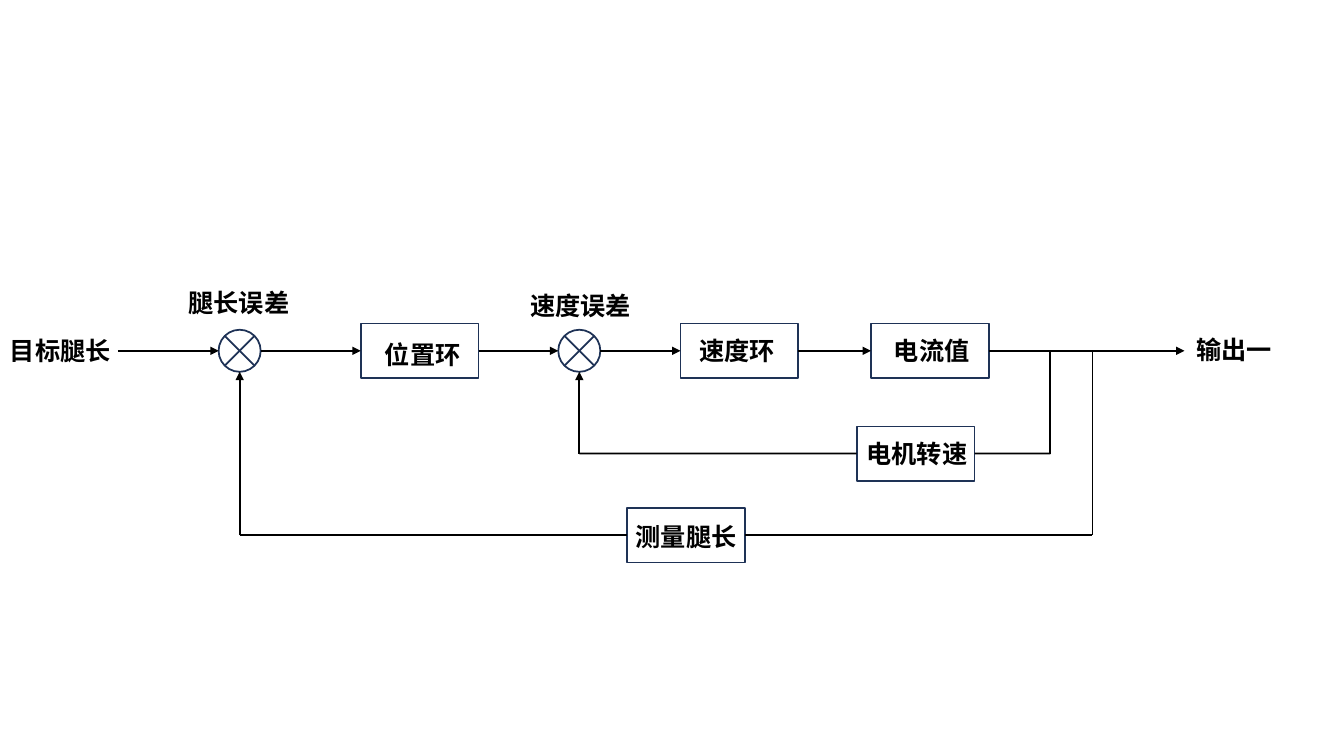
import pptx
import pptx.util
from pptx.dml.color import RGBColor
from pptx.enum.shapes import MSO_CONNECTOR, MSO_SHAPE
from pptx.enum.text import MSO_AUTO_SIZE
from pptx.oxml.ns import qn
from lxml import etree

Cm, Pt = pptx.util.Cm, pptx.util.Pt

NAVY = RGBColor(0x1E, 0x32, 0x56)
BLACK = RGBColor(0, 0, 0)
FONT = "Noto Sans CJK SC"
LINE_WIDTH = Pt(1.25)

# Lengths in centimetres
AXIS_Y = 8.84
BLOCK_W, BLOCK_H = 2.97, 1.37
JUNCTION_D = 1.06
CHAR_W, LABEL_PAD, LABEL_H = 0.64, 0.52, 1.02


def add_label(s, x, y, text):
    """Bold text box sized to its characters."""
    width = len(text) * CHAR_W + LABEL_PAD
    box = s.shapes.add_textbox(Cm(x), Cm(y), Cm(width), Cm(LABEL_H))
    tf = box.text_frame
    tf.text = text
    tf.word_wrap = False
    tf.auto_size = MSO_AUTO_SIZE.SHAPE_TO_FIT_TEXT
    font = tf.paragraphs[0].runs[0].font
    font.name, font.size, font.bold = FONT, Pt(18), True
    font.color.rgb = BLACK
    etree.SubElement(font._element, qn("a:ea"), typeface=FONT)


def add_outline(s, kind, x, y, w, h):
    sp = s.shapes.add_shape(kind, Cm(x), Cm(y), Cm(w), Cm(h))
    sp.shadow.inherit = False
    sp.fill.background()
    sp.line.color.rgb = NAVY
    sp.line.width = LINE_WIDTH
    return sp


def add_block(s, x, mid_y, text, dx, dy):
    """Process box with its label offset from the top left corner."""
    top = mid_y - BLOCK_H / 2
    sp = add_outline(s, MSO_SHAPE.FLOWCHART_PROCESS, x, top, BLOCK_W, BLOCK_H)
    add_label(s, x + dx, top + dy, text)
    return sp


def add_junction(s, x, text, label_x, label_y):
    """Summing junction on the main axis with its label above."""
    add_outline(s, MSO_SHAPE.FLOWCHART_SUMMING_JUNCTION, x,
                AXIS_Y - JUNCTION_D / 2, JUNCTION_D, JUNCTION_D)
    add_label(s, label_x, label_y, text)


def add_line(s, start, end, arrow=True, source=None, target=None):
    """Line that leaves a block's right side or enters a block's left side."""
    line = s.shapes.add_connector(MSO_CONNECTOR.STRAIGHT, *map(Cm, start + end))
    if source is not None:
        line.begin_connect(source, 3)
    if target is not None:
        line.end_connect(target, 1)
    line.line.color.rgb = BLACK
    line.line.width = LINE_WIDTH
    if arrow:
        etree.SubElement(line.line._get_or_add_ln(), qn("a:tailEnd"), type="triangle")
    etree.SubElement(line._element.spPr, qn("a:effectLst"))


def add_forward_path(s, junctions, block_xs, output_x):
    """Main axis from the target to the output."""
    leg_x, speed_x = junctions
    add_label(s, 0, 8.33, "目标腿长")
    add_junction(s, leg_x, "腿长误差", 4.5, 7.11)
    add_junction(s, speed_x, "速度误差", 13.11, 7.19)
    position_x, velocity_x, current_x = block_xs
    position = add_block(s, position_x, AXIS_Y, "位置环", 0.36, 0.26)
    velocity = add_block(s, velocity_x, AXIS_Y, "速度环", 0.22, 0.18)
    current = add_block(s, current_x, AXIS_Y, "电流值", 0.33, 0.18)
    add_label(s, output_x + 0.05, 8.31, "输出一")

    links = [
        (2.97, leg_x, None, None),
        (leg_x + JUNCTION_D, position_x, None, position),
        (position_x + BLOCK_W, speed_x, position, None),
        (speed_x + JUNCTION_D, velocity_x, None, velocity),
        (velocity_x + BLOCK_W, current_x, velocity, current),
        (current_x + BLOCK_W, output_x, current, None),
    ]
    for x1, x2, source, target in links:
        add_line(s, (x1, AXIS_Y), (x2, AXIS_Y), source=source, target=target)


def add_feedback(s, tap_x, junction_x, block_x, y, text, dx, dy):
    """Loop from the output line through a block back to a junction."""
    block = add_block(s, block_x, y, text, dx, dy)
    return_x = junction_x + JUNCTION_D / 2
    add_line(s, (tap_x, AXIS_Y), (tap_x, y), arrow=False)
    add_line(s, (block_x + BLOCK_W, y), (tap_x, y), arrow=False, source=block)
    add_line(s, (return_x, y), (block_x, y), arrow=False, target=block)
    add_line(s, (return_x, y), (return_x, AXIS_Y + JUNCTION_D / 2))


def main():
    prs = pptx.Presentation()
    prs.slide_width, prs.slide_height = Cm(33.87), Cm(19.05)
    s = prs.slides.add_slide(prs.slide_layouts[6])

    leg_x, speed_x = 5.51, 14.07
    add_forward_path(s, (leg_x, speed_x), (9.09, 17.15, 21.95), 29.85)
    # Inner speed loop and outer leg length loop
    add_feedback(s, 26.47, speed_x, 21.59, 11.43, "电机转速", 0, 0.18)
    add_feedback(s, 27.53, leg_x, 15.8, 13.49, "测量腿长", -0.03, 0.2)

    prs.save("out.pptx")


if __name__ == "__main__":
    main()
